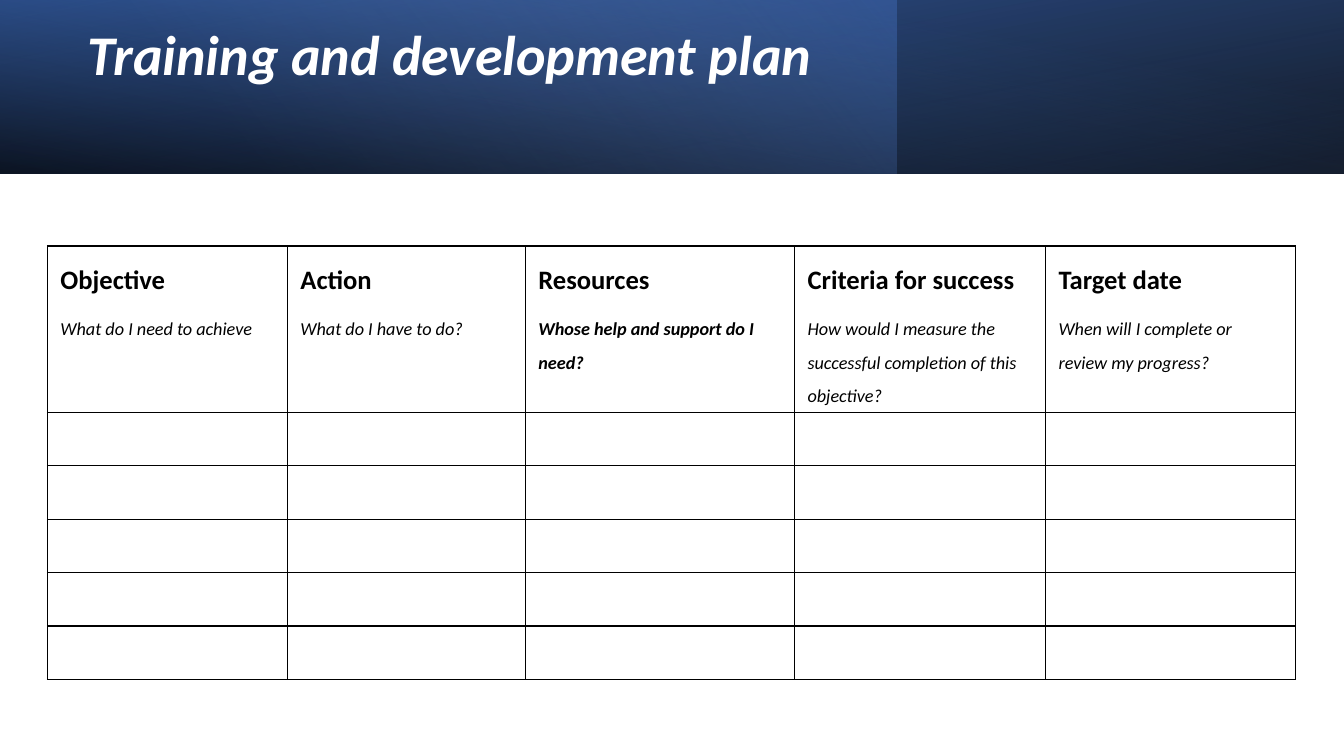
from dataclasses import dataclass

from lxml.etree import SubElement
from pptx import Presentation
from pptx.dml.color import RGBColor
from pptx.enum.shapes import MSO_SHAPE as Preset
from pptx.enum.text import MSO_ANCHOR as Anchor, MSO_AUTO_SIZE as AutoSize, PP_ALIGN as Align
from pptx.oxml.ns import qn
from pptx.slide import Slide
from pptx.table import _Cell as Cell
from pptx.text.text import _Paragraph as Paragraph
from pptx.util import Inches, Pt

COLORS = {
    "white": "FFFFFF",
    "black": "000000",
    "blue": "4472C4",
    "deep blue": "2F5597",
    "pale blue": "8FAADC",
}
FONT = "Calibri"
SLIDE_WIDTH, SLIDE_HEIGHT = 13.33, 7.5
BANNER_HEIGHT = 1.72
HEADER_HEIGHT, ENTRY_HEIGHT, ENTRY_ROWS = 1.65, 0.53, 5


@dataclass
class Stop:
    position: int
    color: str
    opacity: int = 100


@dataclass
class Band:
    width: float
    angle: int
    stops: list[Stop]
    rotation: int = 0
    flipped: bool = False


@dataclass
class Column:
    width: float
    heading: str
    question: str
    bold_question: bool = False


BANDS = [
    Band(SLIDE_WIDTH, 100, [Stop(0, "black", 96), Stop(100, "deep blue")], 180, True),
    Band(8.89, 140, [Stop(0, "blue", 41), Stop(74, "pale blue", 0)]),
    Band(SLIDE_WIDTH, 260, [Stop(0, "black", 63), Stop(78, "blue", 15)], flipped=True),
]
COLUMNS = [
    Column(2.38, "Objective", "What do I need to achieve"),
    Column(2.36, "Action", "What do I have to do?"),
    Column(2.67, "Resources", "Whose help and support do I need?", True),
    Column(2.49, "Criteria for success",
           "How would I measure the successful completion of this objective?"),
    Column(2.48, "Target date", "When will I complete or review my progress?"),
]


def add_band(page: Slide, band: Band) -> None:
    """Draw one translucent gradient layer of the banner."""
    shape = page.shapes.add_shape(
        Preset.RECTANGLE, 0, 0, Inches(band.width), Inches(BANNER_HEIGHT))
    shape.shadow.inherit = False
    shape.line.fill.background()
    shape.rotation = band.rotation
    properties = shape.element.spPr
    if band.flipped:
        properties.find(qn("a:xfrm")).set("flipH", "1")

    # Stops with opacity need XML
    shape.fill.gradient()
    gradient = properties.find(qn("a:gradFill"))
    for child in list(gradient):
        gradient.remove(child)
    stop_list = SubElement(gradient, qn("a:gsLst"))
    for stop in band.stops:
        mark = SubElement(stop_list, qn("a:gs"), pos=str(stop.position * 1000))
        color = SubElement(mark, qn("a:srgbClr"), val=COLORS[stop.color])
        SubElement(color, qn("a:alpha"), val=str(stop.opacity * 1000))
    SubElement(gradient, qn("a:lin"), ang=str(band.angle * 60000), scaled="0")


def add_span(para: Paragraph, text: str, size: float, color: str,
             bold: bool, italic: bool) -> None:
    span = para.add_run()
    span.text = text
    font = span.font
    font.name, font.size = FONT, Pt(size)
    font.bold, font.italic = bold, italic
    font.color.rgb = RGBColor.from_string(COLORS[color])


def add_title(page: Slide, text: str) -> None:
    box = page.shapes.title
    box.left, box.top = Inches(0.77), Inches(0.27)
    box.width, box.height = Inches(7.72), Inches(1.27)
    frame = box.text_frame
    frame.word_wrap = True
    frame.auto_size = AutoSize.NONE
    frame.vertical_anchor = Anchor.TOP
    frame.margin_top = 0
    para = frame.paragraphs[0]
    para.alignment = Align.LEFT
    para.line_spacing = 0.9
    add_span(para, text, 40, "white", True, True)
    page.shapes.element.append(box.element)  # in front of the bands


def format_cell(cell: Cell) -> None:
    """Give a cell thin black borders, no fill and its margins."""
    properties = cell._tc.get_or_add_tcPr()
    for side in ("lnL", "lnR", "lnT", "lnB"):
        border = SubElement(properties, qn(f"a:{side}"), w=str(Pt(1)))
        fill = SubElement(border, qn("a:solidFill"))
        SubElement(fill, qn("a:srgbClr"), val=COLORS["black"])
    cell.fill.background()
    cell.margin_left = cell.margin_right = Inches(0.13)
    cell.margin_top, cell.margin_bottom = Inches(0.02), 0


def fill_header(cell: Cell, column: Column) -> None:
    frame = cell.text_frame
    heading, question = frame.paragraphs[0], frame.add_paragraph()
    for para in (heading, question):
        para.line_spacing = 1.5
        para.space_after = Pt(8)
    add_span(heading, column.heading, 19, "black", True, False)
    add_span(question, column.question, 13, "black", column.bold_question, True)


def add_plan(page: Slide) -> None:
    width = sum(column.width for column in COLUMNS)
    height = HEADER_HEIGHT + ENTRY_ROWS * ENTRY_HEIGHT
    plan = page.shapes.add_table(
        1 + ENTRY_ROWS, len(COLUMNS), Inches(0.47), Inches(2.44),
        Inches(width), Inches(height)).table
    plan.first_row = plan.horz_banding = False
    for row in plan.rows:
        row.height = Inches(ENTRY_HEIGHT)
    plan.rows[0].height = Inches(HEADER_HEIGHT)
    for cell in plan.iter_cells():
        format_cell(cell)
    for index, column in enumerate(COLUMNS):
        plan.columns[index].width = Inches(column.width)
        fill_header(plan.cell(0, index), column)


def main() -> None:
    deck = Presentation()
    deck.slide_width, deck.slide_height = Inches(SLIDE_WIDTH), Inches(SLIDE_HEIGHT)
    page = deck.slides.add_slide(deck.slide_layouts[5])

    # Banner and title
    for band in BANDS:
        add_band(page, band)
    add_title(page, "Training and development plan")

    # Planning table
    add_plan(page)
    deck.save("out.pptx")


if __name__ == "__main__":
    main()
